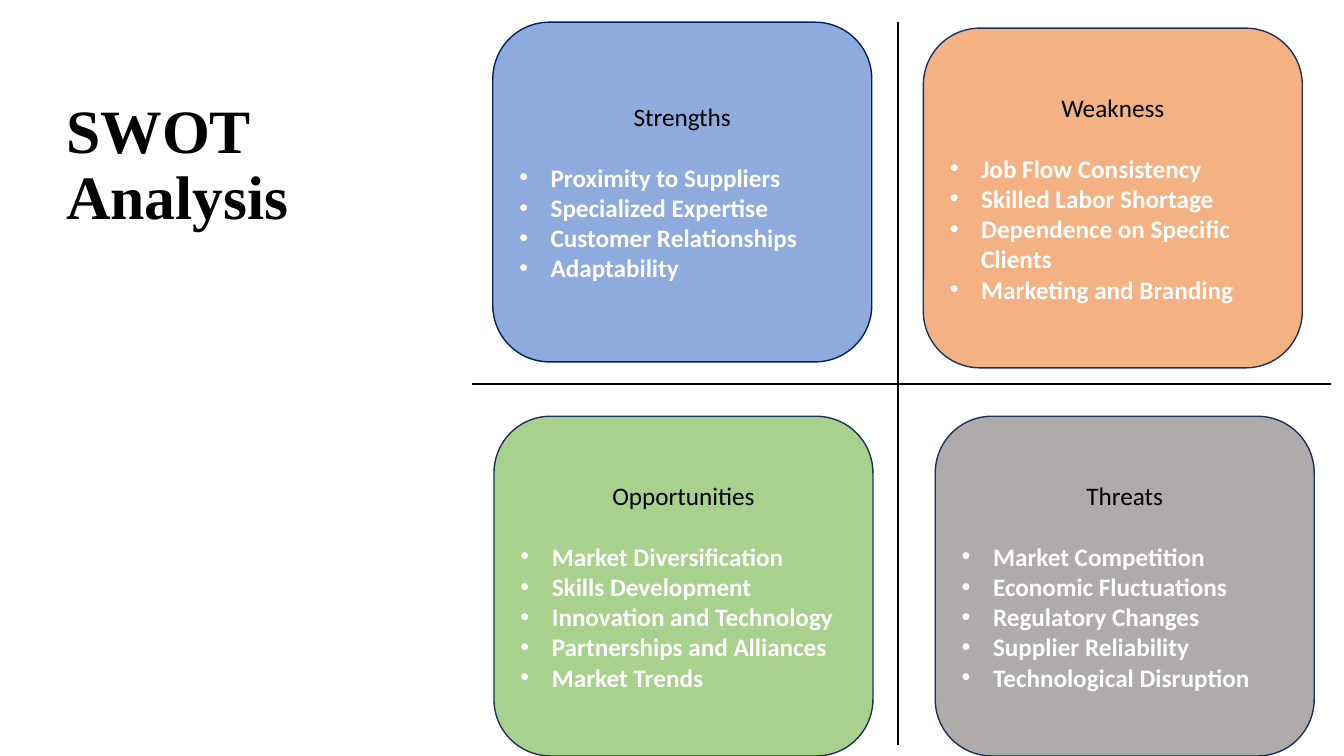
from lxml import etree
from pptx import Presentation
from pptx.dml.color import RGBColor
from pptx.enum.shapes import MSO_CONNECTOR, MSO_SHAPE
from pptx.enum.text import MSO_ANCHOR, PP_ALIGN
from pptx.oxml.ns import qn
from pptx.util import Cm, Pt

ROUNDED_BOX = MSO_SHAPE.FLOWCHART_ALTERNATE_PROCESS
STRAIGHT = MSO_CONNECTOR.STRAIGHT
MIDDLE = MSO_ANCHOR.MIDDLE
LEFT, CENTER = PP_ALIGN.LEFT, PP_ALIGN.CENTER

COLORS = {
    "black": "000000",
    "white": "FFFFFF",
    "navy": "002060",
    "outline": "1E3256",
    "blue": "8FAADC",
    "orange": "F4B183",
    "green": "A9D18E",
    "gray": "AFABAB",
}
BOX_WIDTH, BOX_HEIGHT = 9.55, 8.56
BULLET_INDENT = Cm(0.79)


def color(name):
    return RGBColor.from_string(COLORS[name])


def write(paragraph, text, font="Calibri", size=18, fill="black", bold=False,
          align=LEFT, line_spacing=1.0, space_after=0, bullet=False):
    paragraph.text = text
    paragraph.alignment = align
    paragraph.line_spacing = line_spacing
    paragraph.space_after = Pt(space_after)
    for run in paragraph.runs:
        run.font.name = font
        run.font.size = Pt(size)
        run.font.bold = bold
        run.font.color.rgb = color(fill)
    if bullet:
        properties = paragraph._p.get_or_add_pPr()
        properties.set("marL", str(BULLET_INDENT))
        properties.set("indent", str(-BULLET_INDENT))
        etree.SubElement(properties, qn("a:buFont")).set("typeface", "Arial")
        etree.SubElement(properties, qn("a:buChar")).set("char", "•")


presentation = Presentation()
presentation.slide_width = Cm(33.87)
presentation.slide_height = Cm(19.05)
slide = presentation.slides.add_slide(presentation.slide_layouts[6])

title = slide.shapes.add_textbox(Cm(1.42), Cm(2.36), Cm(29.21), Cm(3.68))
title.text_frame.word_wrap = True
title.text_frame.vertical_anchor = MIDDLE
write(title.text_frame.paragraphs[0], "SWOT\vAnalysis", font="Times New Roman",
      size=44, bold=True, line_spacing=0.9)

quadrants = [
    ("Strengths", 12.42, 0.56, "blue", "navy",
     ["Proximity to Suppliers", "Specialized Expertise",
      "Customer Relationships", "Adaptability"]),
    ("Weakness", 23.27, 0.71, "orange", "outline",
     ["Job Flow Consistency", "Skilled Labor Shortage",
      "Dependence on Specific Clients", "Marketing and Branding"]),
    ("Opportunities", 12.45, 10.49, "green", "outline",
     ["Market Diversification", "Skills Development",
      "Innovation and Technology", "Partnerships and Alliances",
      "Market Trends"]),
    ("Threats", 23.57, 10.49, "gray", "outline",
     ["Market Competition", "Economic Fluctuations", "Regulatory Changes",
      "Supplier Reliability", "Technological Disruption"]),
]
for heading, left, top, fill, outline, points in quadrants:
    box = slide.shapes.add_shape(ROUNDED_BOX, Cm(left), Cm(top),
                                 Cm(BOX_WIDTH), Cm(BOX_HEIGHT))
    box.shadow.inherit = False
    box.fill.solid()
    box.fill.fore_color.rgb = color(fill)
    box.line.color.rgb = color(outline)
    box.line.width = Pt(1)
    frame = box.text_frame
    frame.word_wrap = True
    frame.vertical_anchor = MIDDLE
    write(frame.paragraphs[0], heading, align=CENTER, space_after=22)
    for point in points:
        write(frame.add_paragraph(), point, fill="white", bold=True, bullet=True)

dividers = [(22.63, 0.56, 22.63, 18.77), (11.89, 9.68, 33.55, 9.68)]
for ends in dividers:
    divider = slide.shapes.add_connector(STRAIGHT, *[Cm(end) for end in ends])
    divider.line.color.rgb = color("black")
    divider.line.width = Pt(1.5)
    etree.SubElement(divider._element.spPr, qn("a:effectLst"))

presentation.save("out.pptx")
